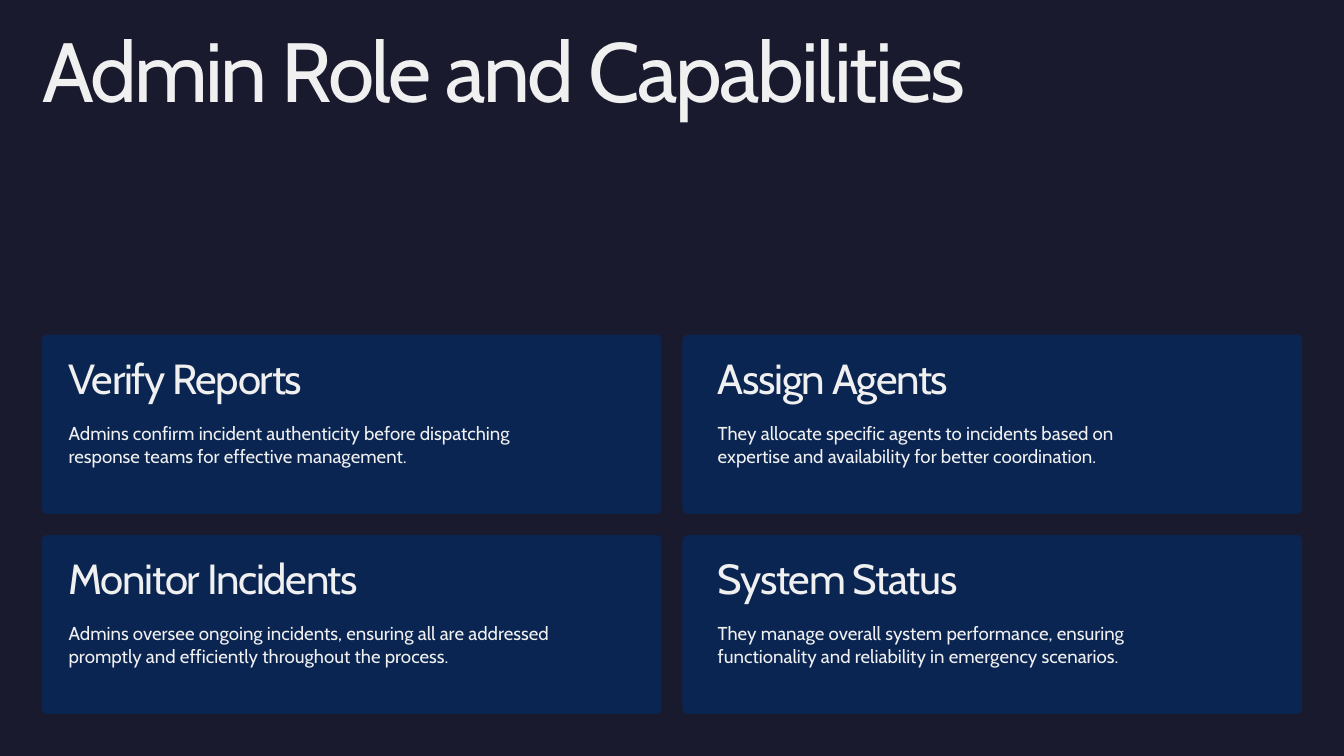
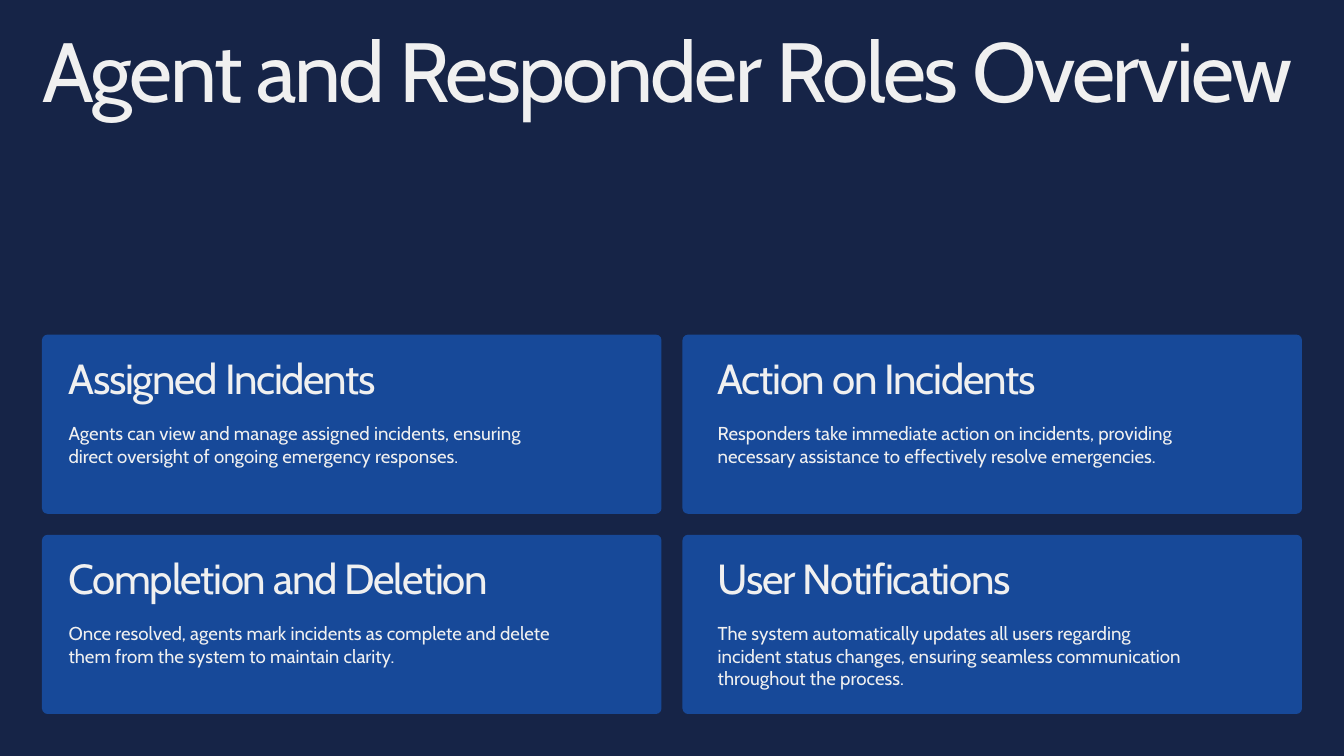
"""Build two slides that describe the roles in an incident response system."""
from dataclasses import dataclass

from pptx import Presentation
from pptx.dml.color import RGBColor
from pptx.enum.shapes import MSO_SHAPE
from pptx.enum.text import MSO_AUTO_SIZE
from pptx.util import Pt


@dataclass(frozen=True)
class Theme:
    """Colours, font and type sizes shared by the slides."""
    font: str = "Cabin"
    text: str = "F0F0F0"
    admin_background: str = "1A1A2E"
    admin_card: str = "0A2552"
    agent_background: str = "162447"
    agent_card: str = "174999"
    title_size: int = 90
    heading_size: int = 45
    body_size: int = 20
    body_leading: int = 24
    title_tracking: float = -2.7
    heading_tracking: float = -1.4


@dataclass(frozen=True)
class Column:
    """Horizontal places of one column of cards."""
    card_left: float
    text_left: float
    text_width: float


THEME = Theme()
SLIDE_WIDTH, SLIDE_HEIGHT = 1440, 810
MARGIN = 45
GAP = 22.5
CARD_WIDTH = (SLIDE_WIDTH - 2 * MARGIN - GAP) / 2
CARD_HEIGHT = 192
CARD_RADIUS = 6
GRID_TOP = 358.5
HEADING_OFFSET, HEADING_HEIGHT = 28, 50
BODY_OFFSET = 93.75
TITLE_TOP = 38
COLUMNS = (
    Column(MARGIN, 73.5, 521),
    Column(MARGIN + CARD_WIDTH + GAP, 769, 505.5),
)

ADMIN_CARDS = (
    ("Verify Reports", 2,
     "Admins confirm incident authenticity before dispatching response teams "
     "for effective management."),
    ("Assign Agents", 2,
     "They allocate specific agents to incidents based on expertise and "
     "availability for better coordination."),
    ("Monitor Incidents", 3,
     "Admins oversee ongoing incidents, ensuring all are addressed promptly "
     "and efficiently throughout the process."),
    ("System Status", 2,
     "They manage overall system performance, ensuring functionality and "
     "reliability in emergency scenarios."),
)
AGENT_CARDS = (
    ("Assigned Incidents", 3,
     "Agents can view and manage assigned incidents, ensuring direct "
     "oversight of ongoing emergency responses."),
    ("Action on Incidents", 3,
     "Responders take immediate action on incidents, providing necessary "
     "assistance to effectively resolve emergencies."),
    ("Completion and Deletion", 2,
     "Once resolved, agents mark incidents as complete and delete them from "
     "the system to maintain clarity."),
    ("User Notifications", 3,
     "The system automatically updates all users regarding incident status "
     "changes, ensuring seamless communication throughout the process."),
)


def write_text(frame, text, *, size, leading, tracking=0):
    """Write one formatted paragraph into a text frame."""
    paragraph = frame.paragraphs[0]
    paragraph.line_spacing = Pt(leading)
    run = paragraph.add_run()
    run.text = text
    run.font.name = THEME.font
    run.font.size = Pt(size)
    run.font.color.rgb = RGBColor.from_string(THEME.text)
    if tracking:
        run._r.get_or_add_rPr().set("spc", str(round(tracking * 100)))


class RoleDeck:
    """Hold the presentation, its theme and the current slide."""

    def __init__(self, theme):
        """Start an empty presentation of the right size."""
        self.theme = theme
        self.presentation = Presentation()
        self.presentation.slide_width = Pt(SLIDE_WIDTH)
        self.presentation.slide_height = Pt(SLIDE_HEIGHT)
        self.slide = None

    def start_slide(self, background):
        """Add a blank slide with a plain background."""
        self.slide = self.presentation.slides.add_slide(
            self.presentation.slide_layouts[6])
        fill = self.slide.background.fill
        fill.solid()
        fill.fore_color.rgb = RGBColor.from_string(background)

    def text_box(self, text, left, top, width, height, **text_format):
        """Add a wrapping text box without margins."""
        shape = self.slide.shapes.add_textbox(
            Pt(left), Pt(top), Pt(width), Pt(height))
        frame = shape.text_frame
        frame.word_wrap = True
        frame.auto_size = MSO_AUTO_SIZE.SHAPE_TO_FIT_TEXT
        frame.margin_left = frame.margin_right = 0
        frame.margin_top = frame.margin_bottom = 0
        write_text(frame, text, **text_format)

    def title(self, text, lines):
        """Add the slide title with room for a number of lines."""
        size = self.theme.title_size
        self.text_box(text, MARGIN, TITLE_TOP, SLIDE_WIDTH - 2 * MARGIN,
                      lines * size + 5, size=size, leading=size,
                      tracking=self.theme.title_tracking)

    def panel(self, left, top, colour):
        """Add the rounded panel behind a card."""
        shape = self.slide.shapes.add_shape(
            MSO_SHAPE.ROUNDED_RECTANGLE,
            Pt(left), Pt(top), Pt(CARD_WIDTH), Pt(CARD_HEIGHT))
        shape.adjustments[0] = CARD_RADIUS / CARD_HEIGHT
        shape.shadow.inherit = False
        shape.fill.solid()
        shape.fill.fore_color.rgb = RGBColor.from_string(colour)
        shape.line.fill.background()

    def card(self, column, top, colour, heading, lines, body):
        """Add a panel with its heading and body text."""
        theme = self.theme
        self.panel(column.card_left, top, colour)
        self.text_box(heading, column.text_left, top + HEADING_OFFSET,
                      column.text_width, HEADING_HEIGHT,
                      size=theme.heading_size, leading=theme.heading_size,
                      tracking=theme.heading_tracking)
        self.text_box(body, column.text_left, top + BODY_OFFSET,
                      column.text_width, lines * theme.body_leading,
                      size=theme.body_size, leading=theme.body_leading)

    def role_slide(self, title, title_lines, cards, background, card_colour):
        """Add a slide with a title and a two by two grid of cards."""
        self.start_slide(background)
        for index, card in enumerate(cards):
            row, column = divmod(index, len(COLUMNS))
            top = GRID_TOP + row * (CARD_HEIGHT + GAP)
            self.card(COLUMNS[column], top, card_colour, *card)
        self.title(title, title_lines)


def main():
    """Build and save the presentation."""
    deck = RoleDeck(THEME)
    deck.role_slide("Admin Role and Capabilities", 1, ADMIN_CARDS,
                    THEME.admin_background, THEME.admin_card)
    deck.role_slide("Agent and Responder Roles Overview", 2, AGENT_CARDS,
                    THEME.agent_background, THEME.agent_card)
    deck.presentation.save("out.pptx")


if __name__ == "__main__":
    main()
